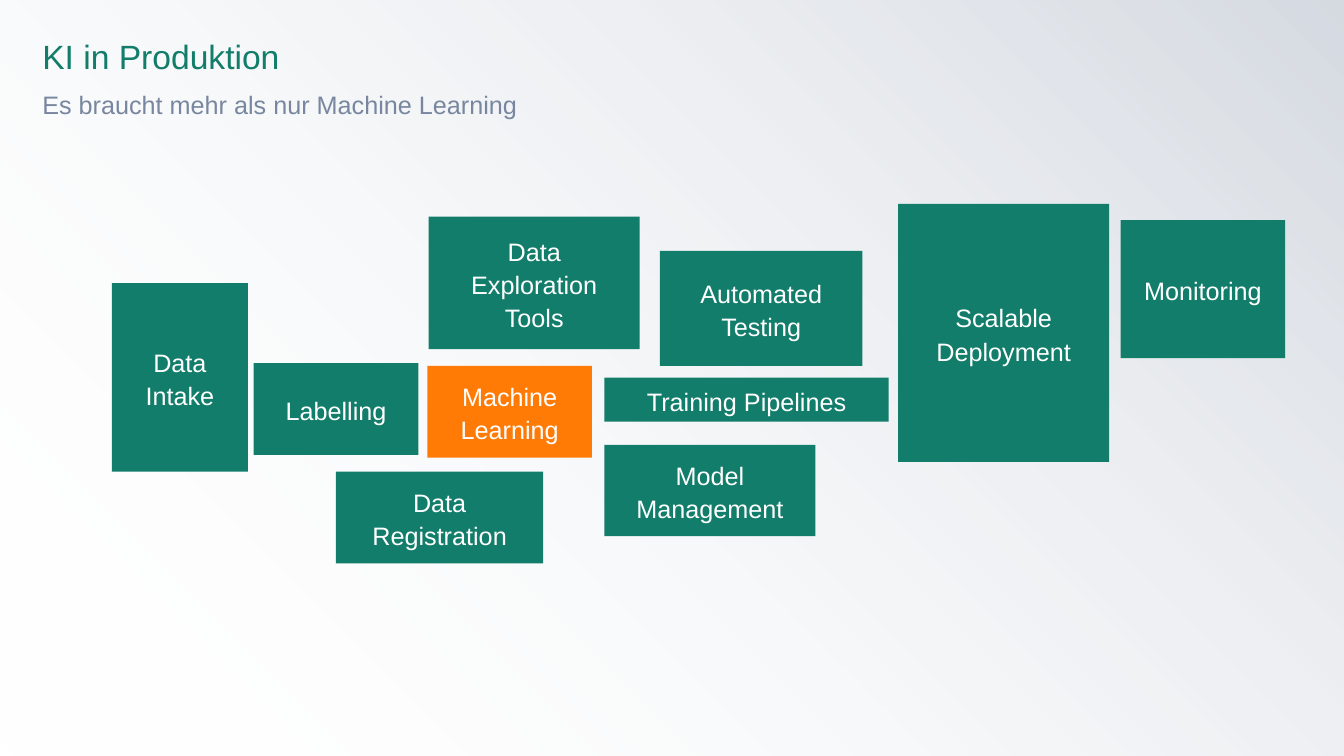
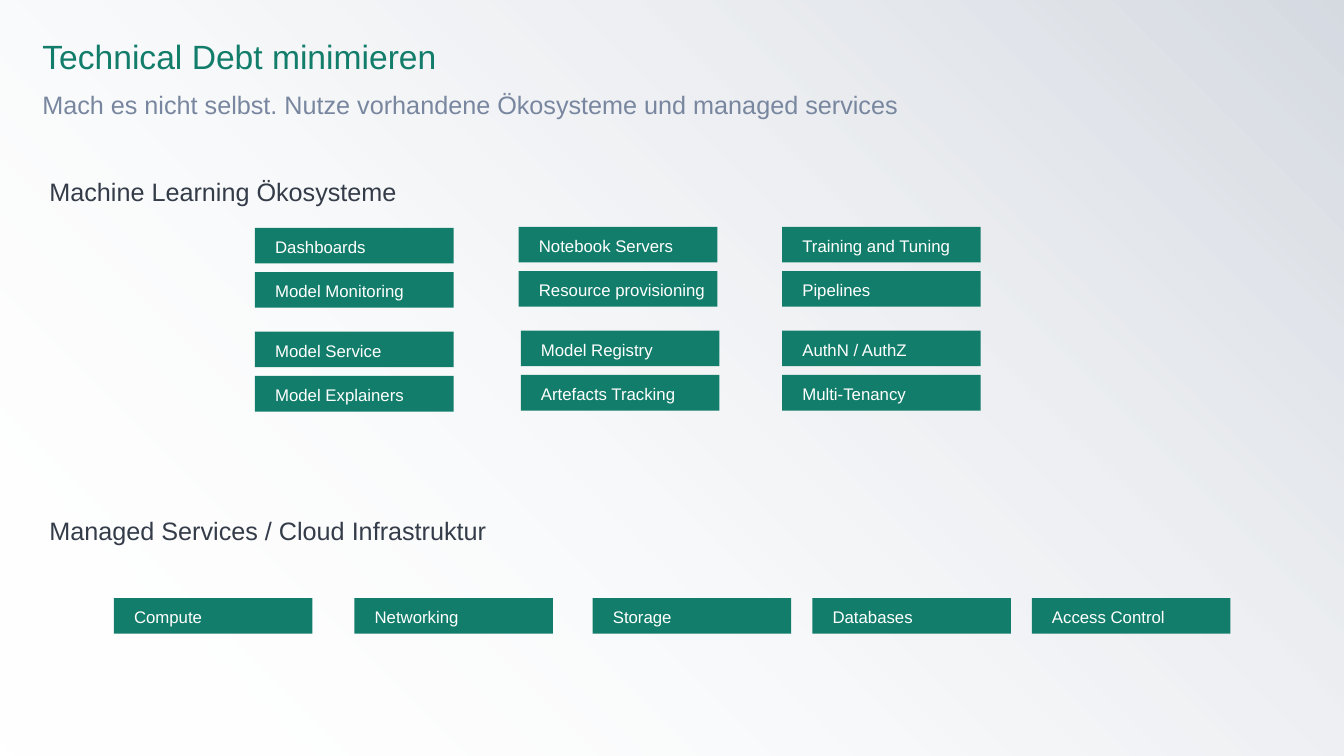
from dataclasses import dataclass

from lxml.etree import SubElement
from pptx import Presentation
from pptx.dml.color import RGBColor
from pptx.enum.shapes import MSO_SHAPE
from pptx.enum.text import MSO_ANCHOR, MSO_AUTO_SIZE, PP_ALIGN
from pptx.oxml.ns import qn
from pptx.util import Inches, Length, Pt

# Grid: 40 columns by 22.5 rows of square cells
COLUMNS, ROWS = 40, 22.5
CELL = Inches(13.333) / COLUMNS

FONT = "Arial"
GREEN, ORANGE, WHITE = "127D6A", "FF7B06", "FFFFFF"
SLATE, DARK, MIST = "78879F", "343C49", "C9CFD9"
PADDING = (0.2, 0.2, 0.2, 0.2)

TAG_WIDTH, TAG_HEIGHT, TAG_PITCH = 5.91, 1.06, 1.32


@dataclass(frozen=True)
class Area:
    """A rectangle in grid columns and rows."""
    column: float
    row: float
    width: float
    height: float

    def lengths(self) -> list[Length]:
        return [cells(value) for value in (self.column, self.row, self.width, self.height)]


@dataclass(frozen=True)
class Block:
    text: str
    area: Area
    fill: str = GREEN


@dataclass(frozen=True)
class TagStack:
    """Tags placed one below the other."""
    column: float
    row: float
    names: tuple[str, ...]


TITLE_AREA = Area(1.26, 1.2, 37.56, 1.23)
SUBTITLE_AREA = Area(1.26, 2.43, 37.56, 1.47)

BLOCKS = [
    Block("Data\nIntake", Area(3.33, 8.43, 4.05, 5.61)),
    Block("Labelling", Area(7.55, 10.81, 4.9, 2.73)),
    Block("Data Registration", Area(10, 14.04, 6.17, 2.73)),
    Block("Data Exploration\nTools", Area(12.76, 6.45, 6.28, 3.94)),
    Block("Automated Testing", Area(19.64, 7.47, 6.03, 3.42)),
    Block("Training Pipelines", Area(17.99, 11.24, 8.46, 1.31)),
    Block("Scalable\nDeployment", Area(26.73, 6.07, 6.28, 7.68)),
    Block("Monitoring", Area(33.35, 6.55, 4.9, 4.11)),
    Block("Model Management", Area(17.99, 13.24, 6.28, 2.72)),
    Block("Machine\nLearning", Area(12.72, 10.89, 4.9, 2.73), ORANGE),
]

HEADINGS = [
    Block("Machine Learning Ökosysteme", Area(0.87, 4.65, 11.64, 2.1)),
    Block("Managed Services / Cloud Infrastruktur", Area(0.87, 14.76, 14.31, 2.1)),
]

TAG_STACKS = [
    TagStack(7.59, 6.78, ("Dashboards", "Model Monitoring")),
    TagStack(7.59, 9.87, ("Model Service", "Model Explainers")),
    TagStack(15.44, 6.75, ("Notebook Servers", "Resource provisioning")),
    TagStack(15.5, 9.84, ("Model Registry", "Artefacts Tracking")),
    TagStack(23.28, 6.75, ("Training and Tuning", "Pipelines")),
    TagStack(23.28, 9.84, ("AuthN / AuthZ", "Multi-Tenancy")),
    TagStack(3.39, 17.8, ("Compute",)),
    TagStack(10.55, 17.8, ("Networking",)),
    TagStack(17.64, 17.8, ("Storage",)),
    TagStack(24.18, 17.8, ("Databases",)),
    TagStack(30.71, 17.8, ("Access Control",)),
]


def cells(count: float) -> Length:
    return Length(round(count * CELL))


def color(hex_value: str) -> RGBColor:
    return RGBColor.from_string(hex_value)


def write_text(shape, text: str, *, size: float, text_color: str,
               align=PP_ALIGN.LEFT, anchor=MSO_ANCHOR.TOP, padding=PADDING,
               spacing: float = 1.1, after: float = 0, wrap: bool = True,
               auto_size=MSO_AUTO_SIZE.NONE) -> None:
    """Fill a shape with text, one paragraph per line."""
    frame = shape.text_frame
    frame.text = text
    frame.word_wrap = wrap
    frame.auto_size = auto_size
    frame.vertical_anchor = anchor
    (frame.margin_left, frame.margin_top,
     frame.margin_right, frame.margin_bottom) = map(Inches, padding)
    for paragraph in frame.paragraphs:
        paragraph.alignment = align
        paragraph.line_spacing = spacing
        paragraph.space_before = Pt(0)
        paragraph.space_after = Pt(after)
        for run in paragraph.runs:
            run.font.name = FONT
            run.font.size = Pt(size)
            run.font.color.rgb = color(text_color)


def add_rectangle(slide, area: Area, fill: str | None = None):
    shape = slide.shapes.add_shape(MSO_SHAPE.RECTANGLE, *area.lengths())
    shape.shadow.inherit = False
    shape.line.fill.background()
    if fill:
        shape.fill.solid()
        shape.fill.fore_color.rgb = color(fill)
    return shape


def add_master_backdrop(presentation, slide) -> None:
    """Draw the fading backdrop and move it behind everything on the master."""
    backdrop = add_rectangle(slide, Area(0, 0, COLUMNS, ROWS))
    backdrop.fill.gradient()
    backdrop.fill.gradient_angle = 45
    for stop, position, hex_value in zip(backdrop.fill.gradient_stops, (0, 1), (WHITE, MIST)):
        stop.position = position
        stop.color.rgb = color(hex_value)
    for color_element, opacity in zip(backdrop.element.iter(qn("a:srgbClr")), (0, 76)):
        SubElement(color_element, qn("a:alpha")).set("val", str(opacity * 1000))
    presentation.slide_master.shapes.element.insert(2, backdrop.element)


def place(shape, area: Area) -> None:
    shape.left, shape.top, shape.width, shape.height = area.lengths()


def add_titled_slide(presentation, title: str, subtitle: str):
    slide = presentation.slides.add_slide(presentation.slide_layouts[1])
    title_shape, body = slide.shapes.title, slide.placeholders[1]
    place(title_shape, TITLE_AREA)
    write_text(title_shape, title, size=24, text_color=GREEN,
               padding=(0, 0, 0.1, 0.05), spacing=0.9)
    place(body, SUBTITLE_AREA)
    write_text(body, subtitle, size=18, text_color=SLATE,
               padding=(0, 0.05, 0.1, 0.05), after=6)
    # The subtitle carries no bullet
    for paragraph in body.text_frame.paragraphs:
        properties = paragraph._p.get_or_add_pPr()
        properties.set("marL", "0")
        properties.set("indent", "0")
        SubElement(properties, qn("a:buNone"))
    return slide


def add_block(slide, block: Block) -> None:
    shape = add_rectangle(slide, block.area, block.fill)
    write_text(shape, block.text, size=18, text_color=WHITE,
               align=PP_ALIGN.CENTER, anchor=MSO_ANCHOR.MIDDLE)


def add_heading(slide, heading: Block) -> None:
    shape = slide.shapes.add_textbox(*heading.area.lengths())
    write_text(shape, heading.text, size=18, text_color=DARK, wrap=False,
               auto_size=MSO_AUTO_SIZE.SHAPE_TO_FIT_TEXT)


def add_tag_stack(slide, stack: TagStack) -> None:
    for index, name in enumerate(stack.names):
        area = Area(stack.column, stack.row + index * TAG_PITCH, TAG_WIDTH, TAG_HEIGHT)
        shape = add_rectangle(slide, area, GREEN)
        write_text(shape, name, size=12, text_color=WHITE,
                   anchor=MSO_ANCHOR.MIDDLE, wrap=False)


def main() -> None:
    presentation = Presentation()
    presentation.slide_width = cells(COLUMNS)
    presentation.slide_height = cells(ROWS)

    # Building blocks of production AI
    production = add_titled_slide(
        presentation, "KI in Produktion", "Es braucht mehr als nur Machine Learning")
    add_master_backdrop(presentation, production)
    for block in BLOCKS:
        add_block(production, block)

    # Ecosystems and managed services
    services = add_titled_slide(
        presentation, "Technical Debt minimieren",
        "Mach es nicht selbst. Nutze vorhandene Ökosysteme und managed services")
    for stack in TAG_STACKS:
        add_tag_stack(services, stack)
    for heading in HEADINGS:
        add_heading(services, heading)

    presentation.save("out.pptx")


if __name__ == "__main__":
    main()
